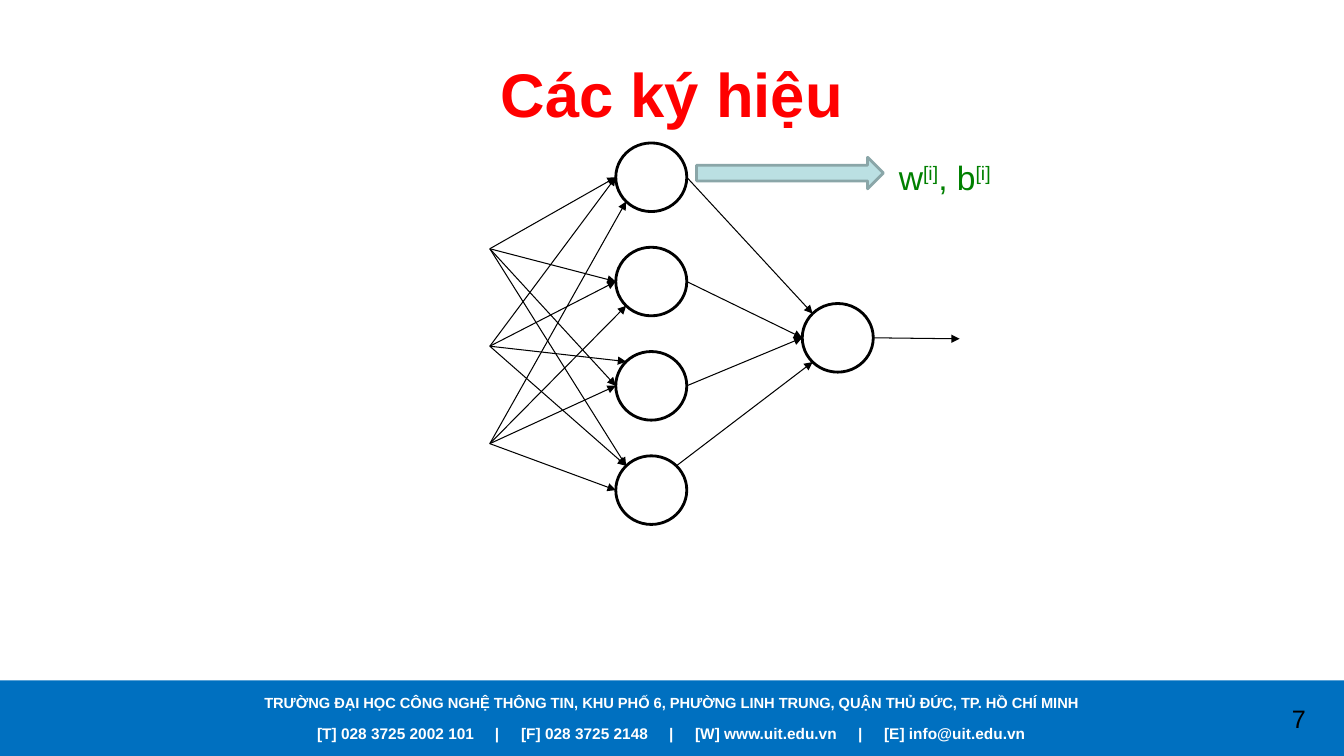
from math import cos, radians, sin

from pptx import Presentation
from pptx.dml.color import RGBColor
from pptx.enum.shapes import MSO_CONNECTOR as Connector, MSO_SHAPE as Preset
from pptx.enum.text import MSO_ANCHOR as Anchor, PP_ALIGN as Align
from pptx.oxml.ns import qn
from pptx.util import Pt
from lxml.etree import SubElement

# Content
TITLE = "Các ký hiệu"
ADDRESS = ("TRƯỜNG ĐẠI HỌC CÔNG NGHỆ THÔNG TIN, KHU PHỐ 6, "
           "PHƯỜNG LINH TRUNG, QUẬN THỦ ĐỨC, TP. HỒ CHÍ MINH")
CONTACTS = ["[T] 028 3725 2002 101", "[F] 028 3725 2148",
            "[W] www.uit.edu.vn", "[E] info@uit.edu.vn"]
CONTACT_TABS = [127, 145.7, 251.5, 270, 386.5, 405]
PAGE_NUMBER = "7"
PARAMETERS = [("w", False), ("[i]", True), (", b", False), ("[i]", True)]

# Side of the neuron where each arrow lands, by input row and hidden column
INPUT_SIDES = [["W", "W", "W", "NW"],
               ["W", "W", "NW", "NW"],
               ["SW", "SW", "W", "W"]]
# Side where each arrow leaves a hidden neuron, and where it reaches the output
OUTPUT_SIDES = [("E", "NW"), ("E", "W"), ("E", "W"), ("NE", "SW")]
ANGLES = {"E": 0, "SW": 135, "W": 180, "NW": 225, "NE": 315}

COLORS = {"bar": "0070C0", "title": "FF0000", "ink": "000000", "white": "FFFFFF",
          "label": "008000", "arrow": "BBE0E3", "arrow edge": "8AA6A8"}
FONT = "Arial"
WIDTH, HEIGHT = 960, 540
NEURON_W, NEURON_H = 50.7, 49
HIDDEN = [(465.2, 126.6 + 74.5 * row) for row in range(4)]
INPUTS = [(349.9, 177.7 + 69.6 * row) for row in range(3)]
OUTPUT = (598.4, 241.3)


def color(name):
    return RGBColor.from_string(COLORS[name])


def style_font(font, size, ink, bold=False):
    font.name, font.size, font.bold = FONT, Pt(size), bold
    font.color.rgb = color(ink)


def add_text(page, text, at, size, ink, bold=False, align=Align.CENTER,
             wrap=True, left_margin=7.2, tabs=()):
    """Text is a string or a list of (words, raised) pairs."""
    box = page.shapes.add_textbox(*map(Pt, at))
    frame = box.text_frame
    frame.word_wrap = wrap
    frame.margin_left = Pt(left_margin)
    para = frame.paragraphs[0]
    para.alignment = align
    if tabs:
        tab_list = SubElement(para._p.get_or_add_pPr(), qn("a:tabLst"))
        for stop in tabs:
            SubElement(tab_list, qn("a:tab"), pos=str(Pt(stop)), algn="l")
    for words, raised in [(text, False)] if isinstance(text, str) else text:
        span = para.add_run()
        span.text = words
        style_font(span.font, size, ink, bold)
        if raised:
            span._r.get_or_add_rPr().set("baseline", "30000")


def add_shape(page, preset, at, fill=None, edge=None):
    shape = page.shapes.add_shape(preset, *map(Pt, at))
    shape.shadow.inherit = False
    if fill:
        shape.fill.solid()
        shape.fill.fore_color.rgb = color(fill)
    else:
        shape.fill.background()
    if edge:
        shape.line.color.rgb = color(edge)
        shape.line.width = Pt(2)
    else:
        shape.line.fill.background()


def add_neuron(page, center):
    x, y = center
    add_shape(page, Preset.OVAL,
              (x - NEURON_W / 2, y - NEURON_H / 2, NEURON_W, NEURON_H), edge="ink")


def rim(center, side):
    angle = radians(ANGLES[side])
    return (center[0] + NEURON_W / 2 * cos(angle),
            center[1] + NEURON_H / 2 * sin(angle))


def add_arrow(page, start, end):
    arrow = page.shapes.add_connector(Connector.STRAIGHT, *map(Pt, start + end))
    arrow.line.color.rgb = color("ink")
    arrow.line.width = Pt(0.75)
    SubElement(arrow.line._get_or_add_ln(), qn("a:tailEnd"), type="triangle")
    SubElement(arrow._element.spPr, qn("a:effectLst"))


def main():
    deck = Presentation()
    deck.slide_width, deck.slide_height = Pt(WIDTH), Pt(HEIGHT)
    page = deck.slides.add_slide(deck.slide_layouts[5])

    # Title
    title = page.shapes.title
    title.left, title.top, title.width, title.height = map(Pt, (48, 21.6, 864, 90))
    title.text_frame.text = TITLE
    title.text_frame.vertical_anchor = Anchor.MIDDLE
    para = title.text_frame.paragraphs[0]
    para.alignment = Align.CENTER
    style_font(para.font, 44, "title", bold=True)

    # Footer
    add_shape(page, Preset.RECTANGLE, (0, 486, WIDTH, 54), fill="bar")
    add_text(page, ADDRESS, (0, 491.8, WIDTH, 20), 10.5, "white", bold=True)
    add_text(page, "\t|\t".join(CONTACTS), (112.3, 513.4, 735.8, 20.6), 11, "white",
             bold=True, align=Align.LEFT, left_margin=114.2, tabs=CONTACT_TABS)
    add_text(page, PAGE_NUMBER, (895.7, 498.5, 64.3, 29), 18, "ink")

    # Neurons
    for center in HIDDEN + [OUTPUT]:
        add_neuron(page, center)

    # Connections
    for start, sides in zip(INPUTS, INPUT_SIDES):
        for center, side in zip(HIDDEN, sides):
            add_arrow(page, start, rim(center, side))
    for center, (leave, reach) in zip(HIDDEN, OUTPUT_SIDES):
        add_arrow(page, rim(center, leave), rim(OUTPUT, reach))
    add_arrow(page, rim(OUTPUT, "E"), (685.5, 242))

    # Layer parameters
    add_text(page, PARAMETERS, (635, 108.7, 84.2, 36), 24, "label",
             align=Align.LEFT, wrap=False)
    add_shape(page, Preset.RIGHT_ARROW, (497.6, 112.4, 133.4, 22.5),
              fill="arrow", edge="arrow edge")

    deck.save("out.pptx")


if __name__ == "__main__":
    main()
